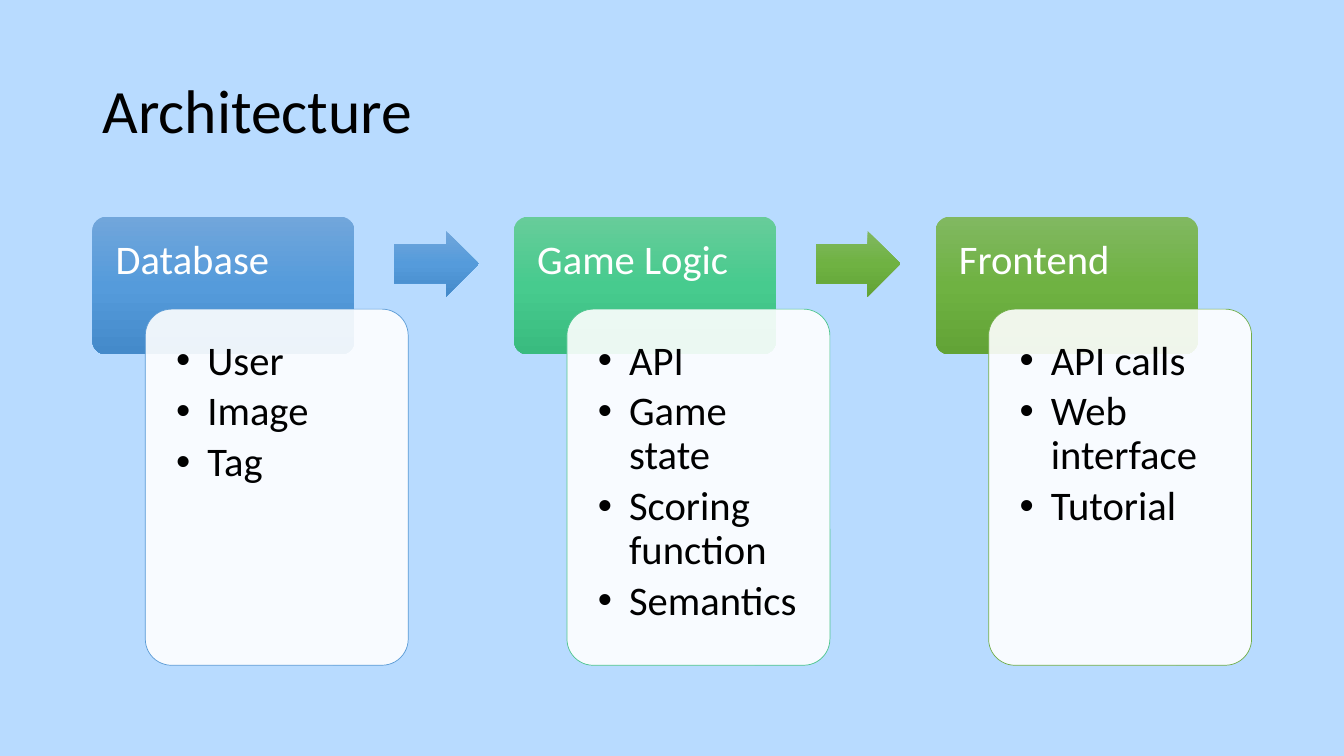
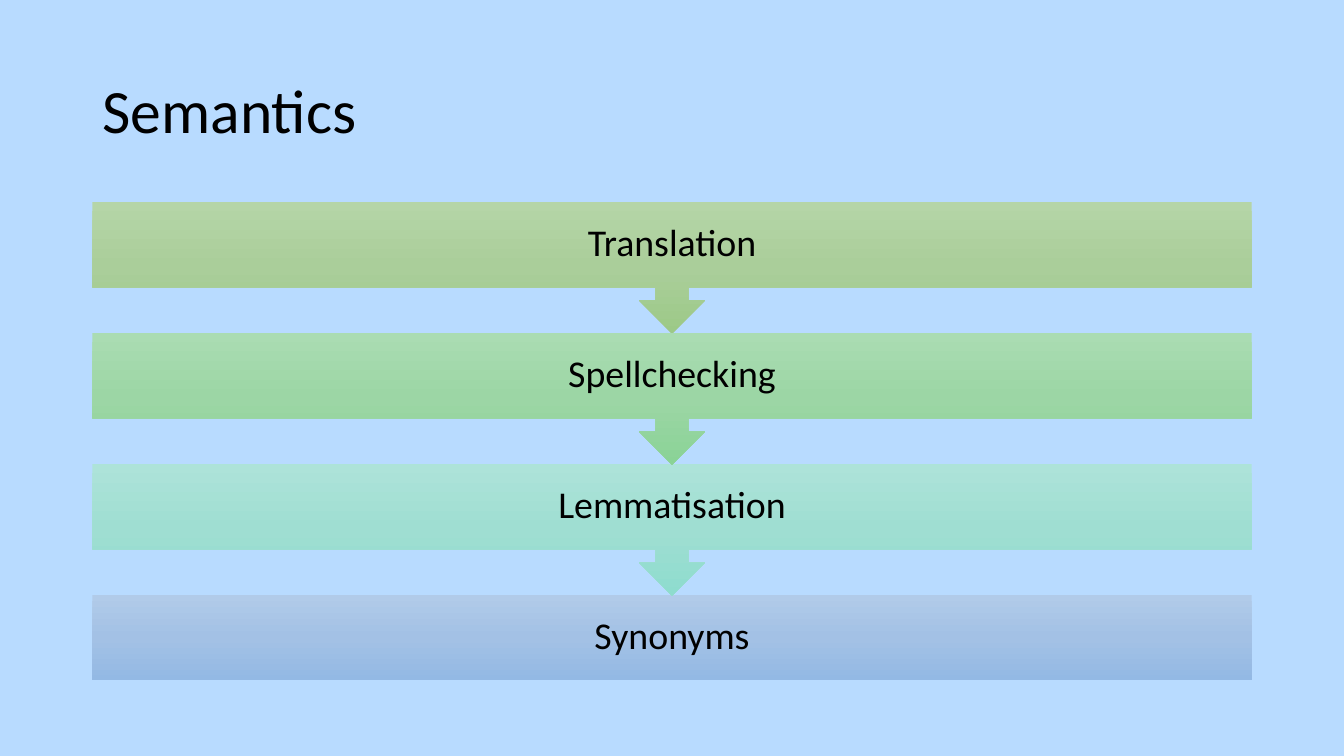
"""Build two slides: an architecture overview and a chain of semantic steps."""
import copy

import pptx
import pptx.dml.color
import pptx.enum.shapes
import pptx.enum.text
import pptx.oxml
import pptx.oxml.ns
import pptx.util

KIND = pptx.enum.shapes.MSO_SHAPE
ALIGN = pptx.enum.text.PP_ALIGN
ANCHOR = pptx.enum.text.MSO_ANCHOR
COLS, ROWS = 160, 90
BLUE = ("71A6DB", "559BDB", "448ACA")
MINT = ("67CC9A", "47CB8E", "39BB7F")
GREEN = ("81B861", "6FB242", "62A336")
CARDS = [
    ("Database", BLUE, "5B9BD5", ["User", "Image", "Tag"]),
    ("Game Logic", MINT, "4DC58D",
     ["API", "Game state", "Scoring function", "Semantics"]),
    ("Frontend", GREEN, "70AD47", ["API calls", "Web interface", "Tutorial"]),
]
ARROWS = [BLUE, GREEN]
STEPS = [
    ("Translation", ("B5D5A7", "AACE9A", "9CC987")),
    ("Spellchecking", ("AADCB2", "9CD6A5", "8AD396")),
    ("Lemmatisation", ("ADE3D9", "9FDED2", "8EDCCE")),
    ("Synonyms", ("B1CBE9", "A3C1E5", "93B9E4")),
]


def paint(target, code):
    """Give a colour format the colour of a hex string."""
    target.rgb = pptx.dml.color.RGBColor.from_string(code)


def blend(shape, codes):
    """Fill a shape with an even gradient from top to bottom."""
    shape.fill.gradient()
    shape.fill.gradient_angle = 270
    first = shape._element.spPr.find(".//" + pptx.oxml.ns.qn("a:gs"))
    for _ in codes[2:]:
        first.addnext(copy.deepcopy(first))
    for i, (stop, code) in enumerate(zip(shape.fill.gradient_stops, codes)):
        stop.position = i / (len(codes) - 1)
        paint(stop.color, code)


def bullet(para, indent=0.31):
    """Hang a paragraph behind a round bullet."""
    props = para._p.get_or_add_pPr()
    gap = pptx.util.Inches(indent)
    props.set("marL", str(gap))
    props.set("indent", str(-gap))
    space = pptx.oxml.ns.nsdecls("a")
    for tag in ('buFont %s typeface="Arial"', 'buChar %s char="•"'):
        props.append(pptx.oxml.parse_xml("<a:" + tag % space + "/>"))


def write(frame, lines, size=29, color="000000", align=ALIGN.LEFT,
          anchor=ANCHOR.TOP, inset=(0.1, 0.05, 0.1, 0.05), after=0,
          dots=False):
    """Write lines of text into a frame in one format."""
    frame.word_wrap = True
    frame.auto_size = pptx.enum.text.MSO_AUTO_SIZE.NONE
    frame.vertical_anchor = anchor
    (frame.margin_left, frame.margin_top, frame.margin_right,
     frame.margin_bottom) = map(pptx.util.Inches, inset)
    for i, line in enumerate(lines):
        para = frame.add_paragraph() if i else frame.paragraphs[0]
        para.alignment = align
        para.line_spacing = 0.9
        para.space_after = pptx.util.Pt(after)
        if dots:
            bullet(para)
        run = para.add_run()
        run.text = line
        run.font.name = "Calibri"
        run.font.size = pptx.util.Pt(size)
        paint(run.font.color, color)


class Deck:
    """Hold the shared style and the current slide."""

    def __init__(self):
        """Set the slide size and background."""
        self.prs = pptx.Presentation()
        self.prs.slide_width = pptx.util.Inches(13.33)
        self.prs.slide_height = pptx.util.Inches(7.5)
        back = self.prs.slide_master.background.fill
        back.solid()
        paint(back.fore_color, "B8DBFF")

    def place(self, left, top, width, height):
        """Turn grid columns and rows into lengths."""
        col = self.prs.slide_width / COLS
        row = self.prs.slide_height / ROWS
        return (round(left * col), round(top * row),
                round(width * col), round(height * row))

    def start(self, title):
        """Add a slide with a title."""
        self.slide = self.prs.slides.add_slide(self.prs.slide_layouts[5])
        head = self.slide.shapes.title
        head.left, head.top, head.width, head.height = self.place(
            11, 4.8, 138, 17.4)
        write(head.text_frame, [title], size=44, anchor=ANCHOR.MIDDLE)

    def shape(self, kind, area, codes=(), adjust=()):
        """Add a plain preset shape, with a gradient if it has colours."""
        item = self.slide.shapes.add_shape(kind, *self.place(*area))
        item.shadow.inherit = False
        item.line.fill.background()
        for i, part in enumerate(adjust):
            item.adjustments[i] = part
        if codes:
            blend(item, codes)
        return item

    def card(self, left, name, codes, edge, points):
        """Add a heading box with a list panel over its corner."""
        head = self.shape(KIND.ROUNDED_RECTANGLE, (left, 25.8, 31.2, 16.4),
                          codes, [0.1])
        write(head.text_frame, [name], color="FFFFFF",
              inset=(0.19, 0.19, 0.19, 0.12))
        panel = self.shape(KIND.ROUNDED_RECTANGLE,
                           (left + 6.3, 36.8, 31.3, 42.4), adjust=[0.1])
        panel.fill.solid()
        paint(panel.fill.fore_color, "FFFFFF")
        white = panel._element.spPr.find(
            ".//" + pptx.oxml.ns.qn("a:srgbClr"))
        white.append(pptx.oxml.parse_xml(
            '<a:alpha %s val="90000"/>' % pptx.oxml.ns.nsdecls("a")))
        panel.line.width = pptx.util.Pt(0.5)
        panel.line.fill.solid()
        paint(panel.line.color, edge)
        write(panel.text_frame, points, inset=(0.23, 0.23, 0.2, 0.23),
              after=5, dots=True)

    def arrow(self, left, codes):
        """Add an arrow between two cards."""
        self.shape(KIND.RIGHT_ARROW, (left, 27.5, 10.1, 7.8), codes,
                   [0.6, 0.5])

    def step(self, top, name, codes, last):
        """Add a band that points to the next one unless it is last."""
        kind = KIND.RECTANGLE if last else KIND.DOWN_ARROW_CALLOUT
        band = self.shape(kind, (11, top, 138, 10.2 if last else 15.7), codes)
        write(band.text_frame, [name], size=27, align=ALIGN.CENTER,
              anchor=ANCHOR.MIDDLE)


def main():
    """Build and save the slides."""
    deck = Deck()
    deck.start("Architecture")
    pitch = 50.2
    for i, card in enumerate(CARDS):
        deck.card(11 + i * pitch, *card)
    for i, codes in enumerate(ARROWS):
        deck.arrow(46.9 + i * pitch, codes)

    deck.start("Semantics")
    for i, (name, codes) in reversed(list(enumerate(STEPS))):
        deck.step(24 + i * 15.6, name, codes, i == len(STEPS) - 1)
    deck.prs.save("out.pptx")


if __name__ == "__main__":
    main()
